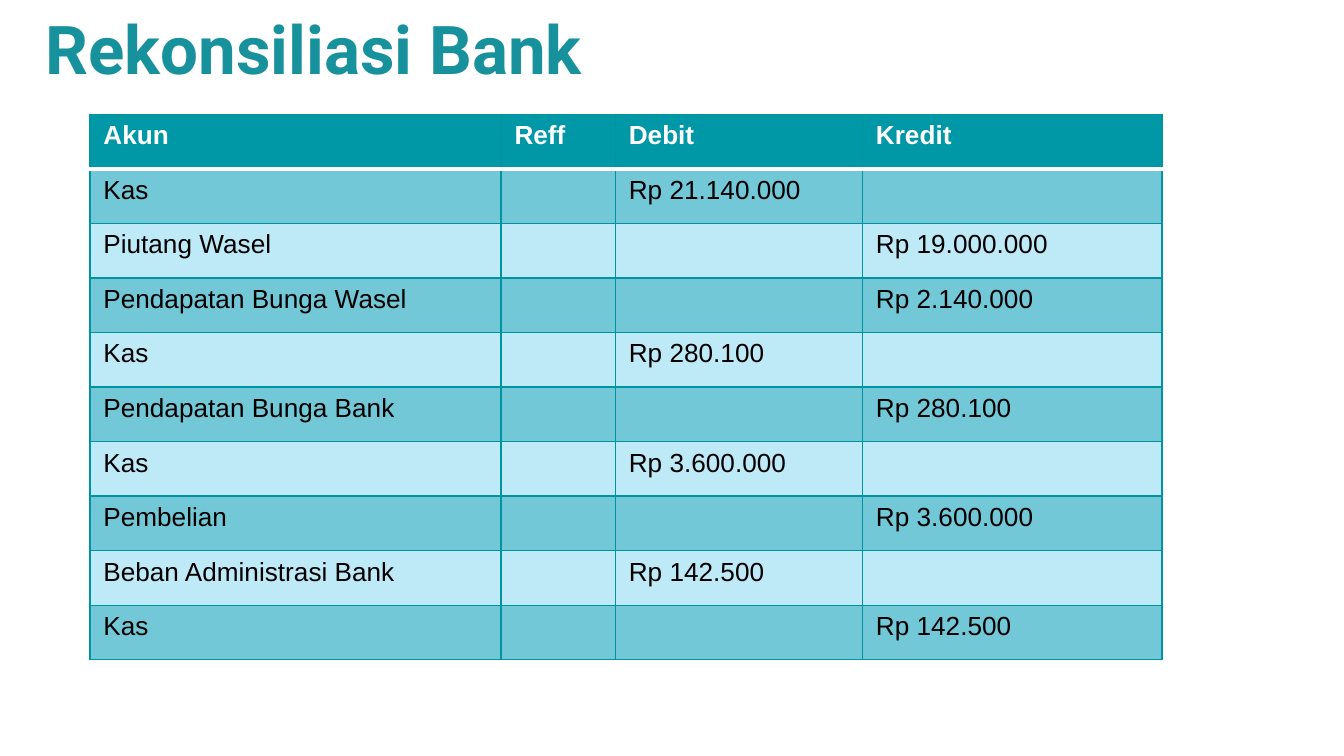
from lxml.etree import SubElement
from pptx import Presentation
from pptx.dml.color import RGBColor as RGB
from pptx.enum.text import MSO_ANCHOR as ANCHOR, MSO_AUTO_SIZE as AUTO_SIZE, PP_ALIGN as ALIGN
from pptx.oxml.ns import qn
from pptx.util import Cm, Pt

COLORS = {
    "title": "17919B", "header": "0097A7", "dark": "72C8D6", "light": "BEE9F6",
    "border": "0094A3", "white": "FFFFFF", "black": "000000",
}
COLUMN_WIDTHS = [7.77, 2.16, 4.67, 5.66]
ROW_HEIGHT = 1.03
ROWS = [
    ("Akun", "Reff", "Debit", "Kredit"),
    ("Kas", "", "Rp 21.140.000", ""),
    ("Piutang Wasel", "", "", "Rp 19.000.000"),
    ("Pendapatan Bunga Wasel", "", "", "Rp 2.140.000"),
    ("Kas", "", "Rp 280.100", ""),
    ("Pendapatan Bunga Bank", "", "", "Rp 280.100"),
    ("Kas", "", "Rp 3.600.000", ""),
    ("Pembelian", "", "", "Rp 3.600.000"),
    ("Beban Administrasi Bank", "", "Rp 142.500", ""),
    ("Kas", "", "", "Rp 142.500"),
]


def add_text(tf, text, font="Arial", size=14, color="black", bold=False):
    p = tf.paragraphs[0]
    p.alignment = ALIGN.LEFT
    r = p.add_run()
    r.text = text
    r.font.name, r.font.size, r.font.bold = font, Pt(size), bold
    r.font.color.rgb = RGB.from_string(COLORS[color])


def set_border(cell, side, color, width):
    """Draw one side (L, R, T or B) of a cell; call before filling the cell."""
    ln = SubElement(cell._tc.get_or_add_tcPr(), qn(f"a:ln{side}"), w=str(Pt(width)))
    fill = SubElement(ln, qn("a:solidFill"))
    SubElement(fill, qn("a:srgbClr"), val=COLORS[color])


prs = Presentation()
prs.slide_width, prs.slide_height = Cm(25.4), Cm(14.28)
s = prs.slides.add_slide(prs.slide_layouts[5])

title = s.shapes.title
title.left, title.top, title.width, title.height = Cm(0.86), Cm(0.1), Cm(23.7), Cm(1.58)
tf = title.text_frame
tf.margin_left = tf.margin_right = tf.margin_bottom = 0
tf.margin_top = Cm(0.03)
tf.vertical_anchor = ANCHOR.TOP
tf.auto_size = AUTO_SIZE.NONE
tf.word_wrap = True
add_text(tf, "Rekonsiliasi Bank", font="Roboto", size=36, color="title", bold=True)

table = s.shapes.add_table(
    len(ROWS), len(COLUMN_WIDTHS), Cm(1.7), Cm(2.16),
    Cm(sum(COLUMN_WIDTHS)), Cm(ROW_HEIGHT * len(ROWS)),
).table
for column, width in zip(table.columns, COLUMN_WIDTHS):
    column.width = Cm(width)

for i, row in enumerate(ROWS):
    table.rows[i].height = Cm(ROW_HEIGHT)
    is_header = i == 0
    fill = "header" if is_header else "dark" if i % 2 else "light"
    for j, text in enumerate(row):
        cell = table.cell(i, j)
        cell.margin_bottom = 0
        for side in "LRTB":
            under_header = (i, side) in ((0, "B"), (1, "T"))
            set_border(cell, side, *(("white", 2) if under_header else ("border", 0.75)))
        cell.fill.solid()
        cell.fill.fore_color.rgb = RGB.from_string(COLORS[fill])
        if text:
            add_text(cell.text_frame, text, color="white" if is_header else "black", bold=is_header)

prs.save("out.pptx")
